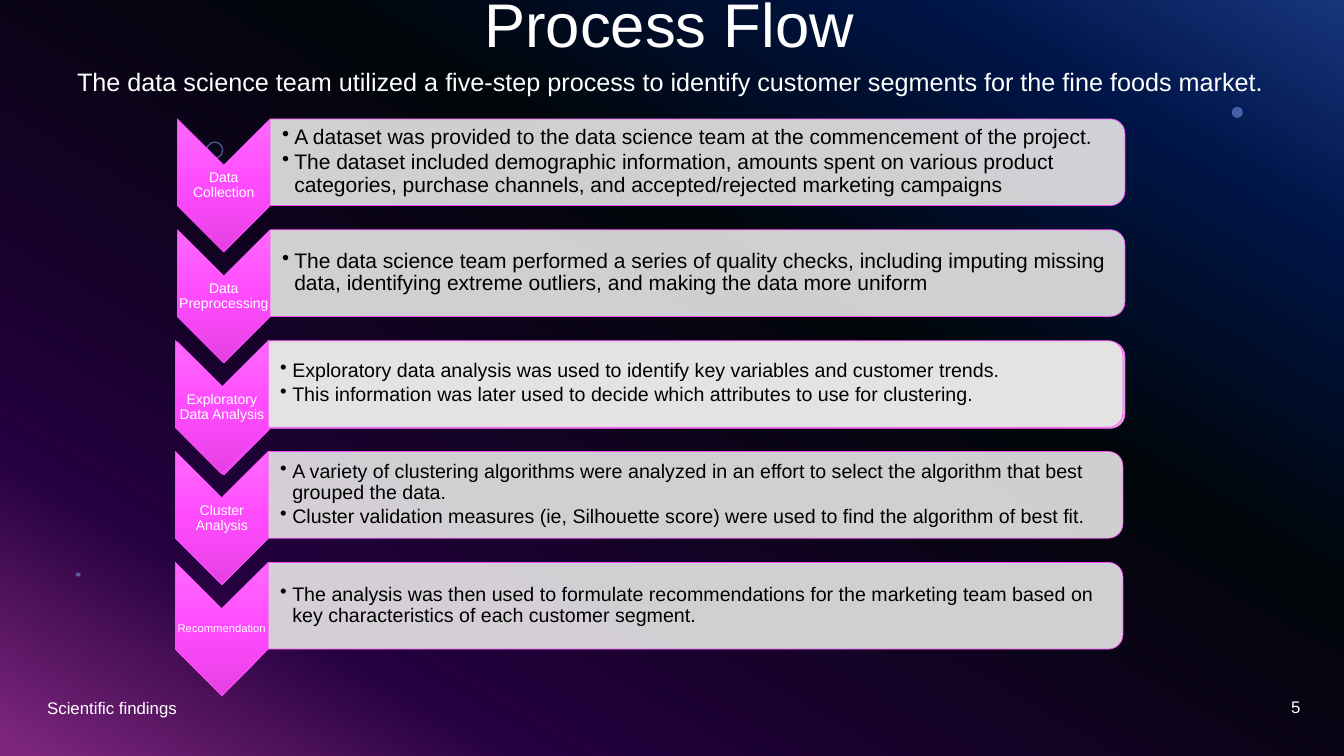
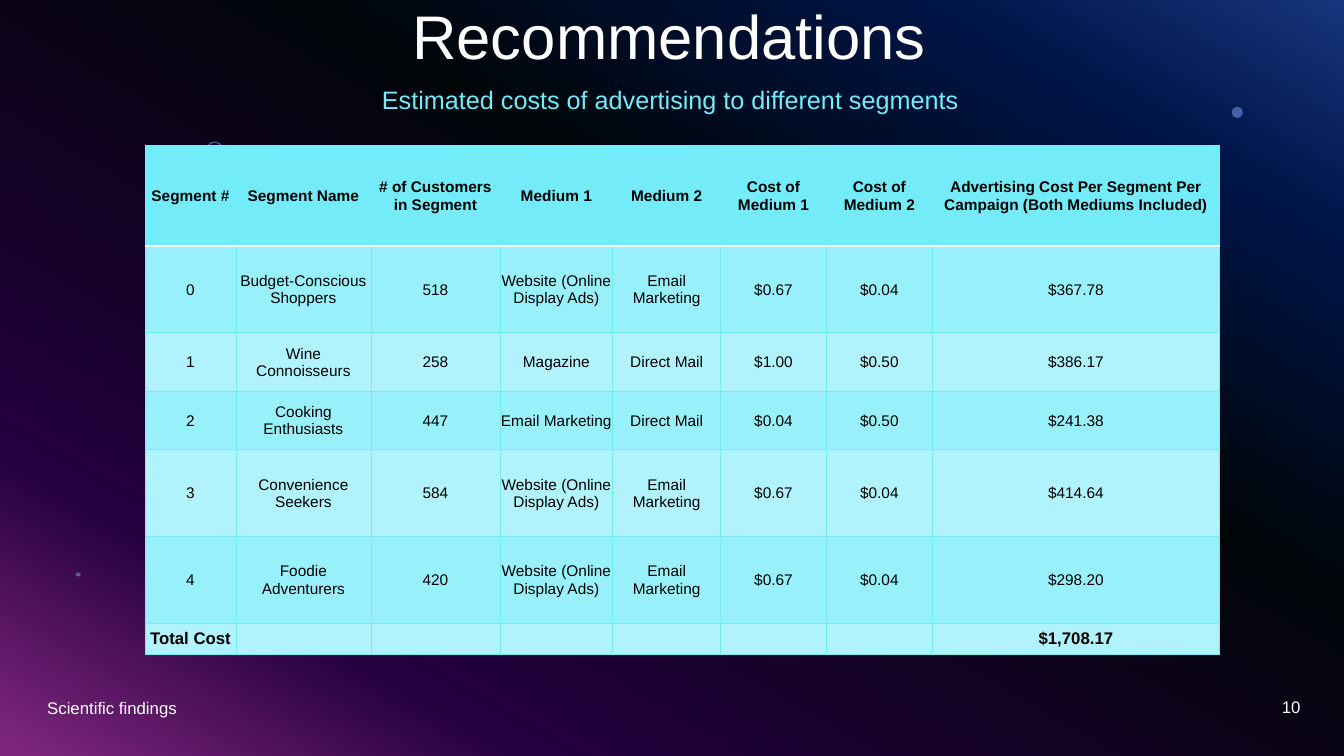
from lxml.etree import SubElement
from pptx import Presentation
from pptx.dml.color import RGBColor
from pptx.enum.shapes import MSO_SHAPE as Shape
from pptx.enum.text import MSO_ANCHOR as Anchor, MSO_AUTO_SIZE as AutoSize, PP_ALIGN as Align
from pptx.oxml import parse_xml
from pptx.oxml.ns import nsdecls, qn
from pptx.util import Pt

PX = 9144
FONT = "Arial"
WHITE = RGBColor(0xFF, 0xFF, 0xFF)
BLACK = RGBColor(0x00, 0x00, 0x00)
GREY = RGBColor(0xE7, 0xE6, 0xE6)
PINK = RGBColor(0xFC, 0x4E, 0xFB)
DOT = RGBColor(0x83, 0xA7, 0xFD)
CYAN = RGBColor(0x73, 0xEB, 0xF9)
BAND = RGBColor(0x98, 0xF0, 0xFB)
PALE = RGBColor(0xB0, 0xF3, 0xFC)
SKY = [(0, RGBColor(0x31, 0x6C, 0xFC)), (15, RGBColor(0x02, 0x2D, 0x94)),
       (39, RGBColor(0x02, 0x0C, 0x12)), (80, RGBColor(0x4A, 0x02, 0x7F)), (99, PINK)]
ARROW = [(0, RGBColor(0xFF, 0x69, 0xFE)), (50, RGBColor(0xFF, 0x4B, 0xFE)),
         (100, RGBColor(0xE5, 0x40, 0xE4))]

STEP_PITCH, ARROW_WIDTH, ARROW_HEIGHT, CARD_WIDTH, CARD_HEIGHT = 110, 92, 132, 848, 86
STEPS = [
    ("Data Collection", 10, 15, 176, [
        "A dataset was provided to the data science team at the commencement of the project.",
        "The dataset included demographic information, amounts spent on various product categories, "
        "purchase channels, and accepted/rejected marketing campaigns"]),
    ("Data Preprocessing", 10, 15, 176, [
        "The data science team performed a series of quality checks, including imputing missing data, "
        "identifying extreme outliers, and making the data more uniform"]),
    ("Exploratory Data Analysis", 10, 14, 174, [
        "Exploratory data analysis was used to identify key variables and customer trends.",
        "This information was later used to decide which attributes to use for clustering."]),
    ("Cluster Analysis", 10, 14, 174, [
        "A variety of clustering algorithms were analyzed in an effort to select the algorithm that "
        "best grouped the data.",
        "Cluster validation measures (ie, Silhouette score) were used to find the algorithm of best fit."]),
    ("Recommendation", 8, 14, 174, [
        "The analysis was then used to formulate recommendations for the marketing team based on key "
        "characteristics of each customer segment."]),
]

COLUMNS = [90, 134, 128, 112, 107, 105, 105, 285]
ROW_HEIGHTS = [100, 86, 58, 58, 86, 86, 29]
WEBSITE = "Website (Online Display Ads)"
EMAIL = "Email Marketing"
COSTS = [
    ["Segment #", "Segment Name", "# of Customers in Segment", "Medium 1", "Medium 2",
     "Cost of Medium 1", "Cost of Medium 2",
     "Advertising Cost Per Segment Per Campaign (Both Mediums Included)"],
    ["0", "Budget-Conscious Shoppers", "518", WEBSITE, EMAIL, "$0.67", "$0.04", "$367.78"],
    ["1", "Wine Connoisseurs", "258", "Magazine", "Direct Mail", "$1.00", "$0.50", "$386.17"],
    ["2", "Cooking Enthusiasts", "447", EMAIL, "Direct Mail", "$0.04", "$0.50", "$241.38"],
    ["3", "Convenience Seekers", "584", WEBSITE, EMAIL, "$0.67", "$0.04", "$414.64"],
    ["4", "Foodie Adventurers", "420", WEBSITE, EMAIL, "$0.67", "$0.04", "$298.20"],
    ["Total Cost", "", "", "", "", "", "", "$1,708.17"],
]


def px(*lengths):
    """Turn pixel lengths into EMU."""
    return [round(length * PX) for length in lengths]


def write(para, text, size=12, color=WHITE, bold=False, align=Align.LEFT,
          spacing=None, after=None, bullet=False):
    """Put formatted text in a paragraph."""
    if bullet:
        props = para._p.get_or_add_pPr()
        props.set("marL", str(12 * PX))
        props.set("indent", str(-12 * PX))
        SubElement(props, qn("a:buChar")).set("char", "•")
    para.alignment = align
    if spacing:
        para.line_spacing = spacing
    if after:
        para.space_after = Pt(after)
    span = para.add_run()
    span.text = text
    span.font.name, span.font.size, span.font.bold = FONT, Pt(size), bold
    span.font.color.rgb = color


def text_box(page, area, texts, anchor=Anchor.MIDDLE, insets=(10, 5, 10, 5), **style):
    """Add a wrapping text box with one paragraph for each text."""
    frame = page.shapes.add_textbox(*px(*area)).text_frame
    frame.word_wrap = True
    frame.vertical_anchor = anchor
    (frame.margin_left, frame.margin_top,
     frame.margin_right, frame.margin_bottom) = px(*insets)
    for index, text in enumerate(texts):
        write(frame.add_paragraph() if index else frame.paragraphs[0], text, **style)


def add_gradient(fill, element, stops, angle):
    """Give a fill a linear gradient with the listed stops."""
    fill.gradient()
    fill.gradient_angle = angle
    stop_list = element.find(".//" + qn("a:gsLst"))
    stop_list.clear()
    for position, color in stops:
        stop = SubElement(stop_list, qn("a:gs"))
        stop.set("pos", str(position * 1000))
        SubElement(stop, qn("a:srgbClr")).set("val", str(color))


def add_alpha(shape, percent):
    """Make the colours set so far on a shape partly transparent."""
    for color in shape.element.iter(qn("a:srgbClr")):
        SubElement(color, qn("a:alpha")).set("val", str(percent * 1000))


def plain_shape(page, kind, area, fill=None, line=None, weight=0.5, alpha=None):
    """Add a preset shape without shadow."""
    shape = page.shapes.add_shape(kind, *px(*area))
    shape.shadow.inherit = False
    shape.fill.background()
    shape.line.fill.background()
    if fill is not None:
        shape.fill.solid()
        shape.fill.fore_color.rgb = fill
        if alpha:
            add_alpha(shape, alpha)
    if line is not None:
        shape.line.color.rgb = line
        shape.line.width = Pt(weight)
        if alpha and fill is None:
            add_alpha(shape, alpha)
    return shape


def turned_shape(page, kind, area, **style):
    """Add a shape turned a quarter so that it covers the given area."""
    left, top, width, height = area
    shift = (width - height) / 2
    shape = plain_shape(page, kind, (left + shift, top - shift, height, width), **style)
    shape.rotation = 90
    return shape


def style_layout(layout, page):
    """Give the layout its gradient, veil and dots."""
    add_gradient(layout.background.fill, layout.element, SKY, 240)
    for holder in list(layout.placeholders)[1:]:
        layout.shapes.element.remove(holder.element)
    decor = [
        plain_shape(page, Shape.RECTANGLE, (0, 0, 1333.33, 750), fill=BLACK, alpha=50),
        plain_shape(page, Shape.OVAL, (1222, 106, 11, 11), fill=DOT, alpha=49),
        plain_shape(page, Shape.OVAL, (205, 141, 16, 16), line=DOT, weight=1, alpha=49),
        plain_shape(page, Shape.OVAL, (75, 568, 5, 4), fill=DOT, alpha=49),
    ]
    for number, shape in enumerate(decor, 101):
        shape.element.find(".//" + qn("p:cNvPr")).set("id", str(number))
        layout.shapes.element.append(shape.element)


def heading(page, title, title_top, subtitle, subtitle_top, color, number):
    """Place the title, subtitle, footer and page number."""
    holder = page.shapes.title
    holder.left, holder.top, holder.width, holder.height = px(89, title_top, 1150, 43)
    frame = holder.text_frame
    frame.auto_size = AutoSize.NONE
    frame.vertical_anchor = Anchor.MIDDLE
    write(frame.paragraphs[0], title, size=44, align=Align.CENTER, spacing=0.9)
    text_box(page, (37, 682, 450, 40), ["Scientific findings"])
    text_box(page, (1000, 681, 300, 40), [number], align=Align.RIGHT)
    text_box(page, (50, subtitle_top, 1230, 40), [subtitle], anchor=Anchor.TOP,
             size=18, color=color, align=Align.CENTER)


def step_frame(page, left, top):
    """Draw the arrow and the card of one step."""
    arrow = turned_shape(page, Shape.CHEVRON, (left, top, ARROW_WIDTH, ARROW_HEIGHT), line=PINK)
    add_gradient(arrow.fill, arrow.element, ARROW, 0)
    turned_shape(page, Shape.ROUND_2_SAME_RECTANGLE,
                 (left + ARROW_WIDTH, top, CARD_WIDTH, CARD_HEIGHT),
                 fill=GREY, line=PINK, alpha=90)


def step_text(page, left, top, label, label_size, points, size):
    """Write the label and the points of one step."""
    text_box(page, (left, top + 46, ARROW_WIDTH, 40), [label], insets=(1, 1, 1, 1),
             size=label_size, align=Align.CENTER, spacing=0.9, after=3.5)
    text_box(page, (left + ARROW_WIDTH, top + 4, 844, 77), points, insets=(12, 1, 1, 1),
             size=size, color=BLACK, spacing=0.9, after=2, bullet=True)


def process_steps(page, top):
    """Stack the steps, with a double frame behind the third."""
    for index, (label, label_size, size, left, points) in enumerate(STEPS):
        step_top = top + index * STEP_PITCH
        if index == 2:
            step_frame(page, left + 2, step_top + 1)
        step_frame(page, left, step_top)
        step_text(page, left, step_top, label, label_size, points, size)


def cell_borders(cell, row):
    """Draw thin cyan borders, with a white rule below the header."""
    white_side = {0: "B", 1: "T"}.get(row)
    for index, side in enumerate("LRTB"):
        color, weight = (WHITE, 1) if side == white_side else (CYAN, 0.5)
        border = parse_xml(
            f'<a:ln{side} {nsdecls("a")} w="{Pt(weight)}"><a:solidFill>'
            f'<a:srgbClr val="{color}"/></a:solidFill></a:ln{side}>')
        cell._tc.get_or_add_tcPr().insert(index, border)


def cost_table(page, left, top):
    """Place the table of advertising costs."""
    area = px(left, top, sum(COLUMNS), sum(ROW_HEIGHTS))
    table = page.shapes.add_table(len(COSTS), len(COLUMNS), *area).table
    table.first_row = table.horz_banding = False
    for column, width in zip(table.columns, COLUMNS):
        column.width = width * PX
    last = len(COSTS) - 1
    for row, (height, texts) in enumerate(zip(ROW_HEIGHTS, COSTS)):
        table.rows[row].height = height * PX
        for column, text in enumerate(texts):
            cell = table.cell(row, column)
            cell.vertical_anchor = Anchor.MIDDLE
            cell.margin_left = cell.margin_top = cell.margin_right = PX
            cell.margin_bottom = 0
            cell.fill.solid()
            cell.fill.fore_color.rgb = CYAN if row == 0 else BAND if row % 2 else PALE
            cell_borders(cell, row)
            write(cell.text_frame.paragraphs[0], text, size=12 if row == last else 11,
                  color=BLACK, bold=row in (0, last), align=Align.CENTER)


def main():
    """Build and save the deck."""
    deck = Presentation()
    deck.slide_width, deck.slide_height = px(1333.33, 750)
    layout = deck.slide_layouts[5]
    process, costs = [deck.slides.add_slide(layout) for _ in range(2)]
    style_layout(layout, process)
    heading(process, "Process Flow", 6,
            "The data science team utilized a five-step process to identify customer segments "
            "for the fine foods market.", 61, WHITE, "5")
    process_steps(process, 118)
    heading(costs, "Recommendations", 18,
            "Estimated costs of advertising to different segments", 79, CYAN, "10")
    cost_table(costs, 144, 144)
    deck.save("out.pptx")


if __name__ == "__main__":
    main()
